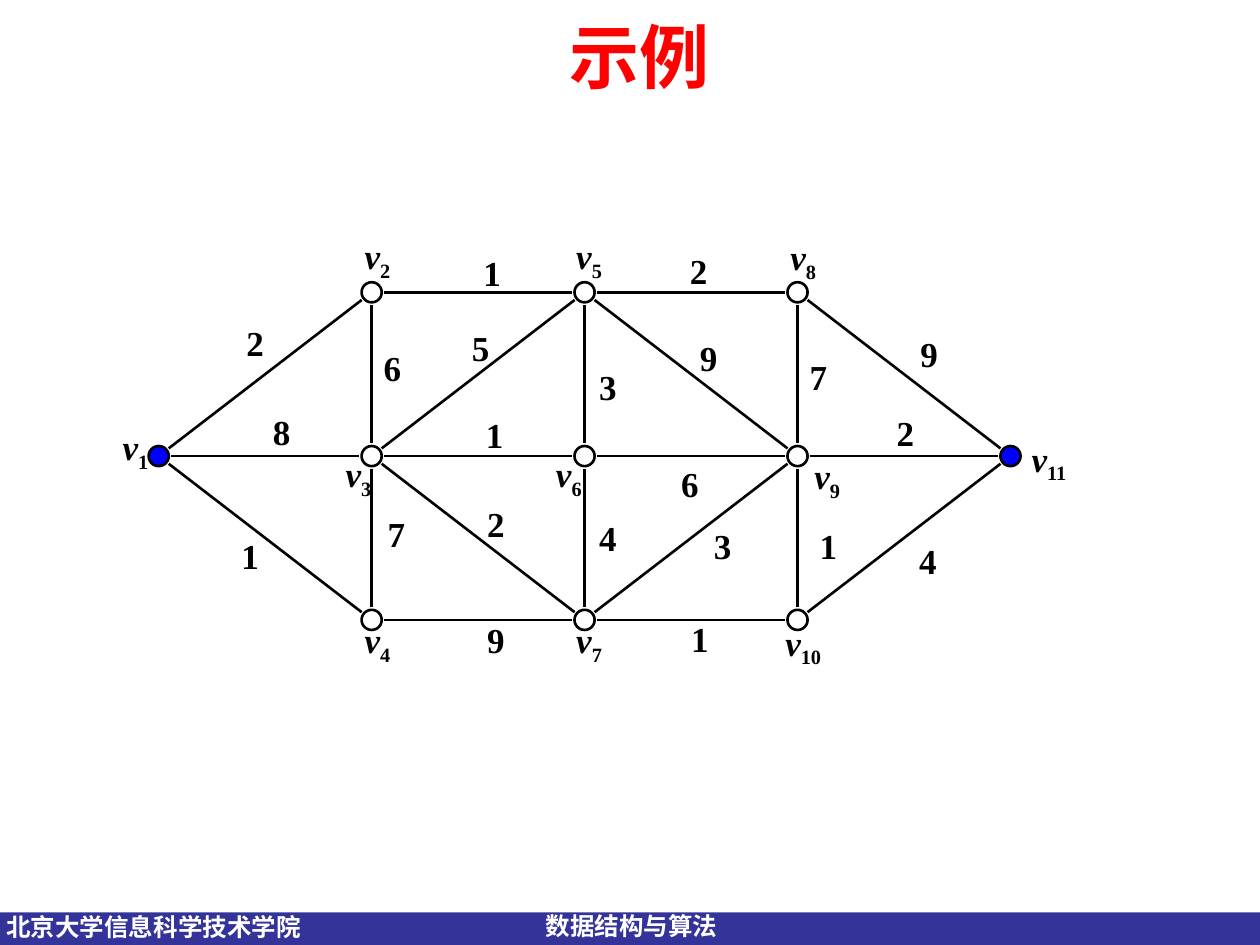
from math import hypot
from typing import NamedTuple

from lxml.etree import SubElement
from pptx import Presentation
from pptx.dml.color import RGBColor
from pptx.enum.shapes import MSO_CONNECTOR, MSO_SHAPE
from pptx.enum.text import MSO_ANCHOR, PP_ALIGN
from pptx.oxml.ns import qn
from pptx.util import Inches, Pt

BLACK, WHITE, RED = "000000", "FFFFFF", "FF0000"
BLUE, NAVY = "0000FF", "333399"
HAN = "Noto Sans CJK SC"
SIZE = 0.16  # node diameter
GAP = 0.1  # from node centre to line end
X0, DX = 1.26, 1.69
Y0, DY = 2.32, 1.3

MATH = {"name": "Times New Roman", "size": Pt(20), "bold": True}
FOOT = {"name": "Arial", "size": Pt(14), "bold": True}
HEAD = {"name": HAN, "size": Pt(40), "bold": True}


class Node(NamedTuple):
    col: int
    row: int
    left: float  # label box
    top: float
    fill: str = ""

    @property
    def x(self) -> float:
        return X0 + self.col * DX

    @property
    def y(self) -> float:
        return Y0 + self.row * DY


class Edge(NamedTuple):
    a: int
    b: int
    cost: int
    left: float  # label box
    top: float


class Foot(NamedTuple):
    text: str
    left: float
    top: float
    width: float


NODES = {
    1: Node(0, 1, 0.82, 3.33, BLUE),
    2: Node(1, 0, 2.74, 1.81),
    3: Node(1, 1, 2.59, 3.54),
    4: Node(1, 2, 2.74, 4.86),
    5: Node(2, 0, 4.42, 1.81),
    6: Node(2, 1, 4.26, 3.54),
    7: Node(2, 2, 4.42, 4.86),
    8: Node(3, 0, 6.12, 1.82),
    9: Node(3, 1, 6.31, 3.56),
    10: Node(3, 2, 6.12, 4.88),
    11: Node(4, 1, 8.07, 3.42, BLUE),
}
EDGES = [
    Edge(1, 2, 2, 1.77, 2.5),
    Edge(1, 3, 8, 1.98, 3.21),
    Edge(1, 4, 1, 1.73, 4.19),
    Edge(3, 4, 7, 2.89, 4.02),
    Edge(2, 3, 6, 2.86, 2.7),
    Edge(2, 5, 1, 3.65, 1.95),
    Edge(3, 5, 5, 3.56, 2.54),
    Edge(3, 6, 1, 3.67, 3.23),
    Edge(3, 7, 2, 3.68, 3.94),
    Edge(4, 7, 9, 3.68, 4.86),
    Edge(5, 6, 3, 4.57, 2.85),
    Edge(6, 7, 4, 4.57, 4.05),
    Edge(7, 10, 1, 5.3, 4.85),
    Edge(7, 9, 3, 5.48, 4.11),
    Edge(6, 9, 6, 5.22, 3.62),
    Edge(5, 9, 9, 5.37, 2.62),
    Edge(5, 8, 2, 5.29, 1.93),
    Edge(8, 9, 7, 6.24, 2.77),
    Edge(9, 11, 2, 6.93, 3.22),
    Edge(9, 10, 1, 6.32, 4.11),
    Edge(10, 11, 4, 7.11, 4.23),
    Edge(8, 11, 9, 7.12, 2.59),
]
FEET = [
    Foot("北京大学信息科学技术学院", 0.05, 7.19, 2.44),
    Foot("数据结构与算法", 4.33, 7.18, 1.46),
]


def paint(target, color: str) -> None:
    target.rgb = RGBColor.from_string(color)


def add_run(para, text: str, look: dict, color: str):
    run = para.add_run()
    run.text = text
    for key, value in look.items():
        setattr(run.font, key, value)
    paint(run.font.color, color)
    return run


def set_han(run) -> None:
    """Choose the typeface for Chinese letters."""
    SubElement(run.font._element, qn("a:ea"), typeface=HAN)


def add_box(slide, left: float, top: float, width: float, height: float,
            wrap: bool, edges: dict):
    box = slide.shapes.add_textbox(
        Inches(left), Inches(top), Inches(width), Inches(height))
    frame = box.text_frame
    frame.word_wrap = wrap
    for side, value in edges.items():
        setattr(frame, f"margin_{side}", Inches(value))
    return frame.paragraphs[0]


def add_label(slide, left: float, top: float, text: str, sub: str = "") -> None:
    """Write an edge cost, or a node name when there is a subscript."""
    para = add_box(slide, left, top, 0.51, 0.48 if sub else 0.44, True, {})
    para.alignment = PP_ALIGN.CENTER
    add_run(para, text, MATH | {"italic": bool(sub)}, BLACK)
    if sub:
        low = add_run(para, sub, MATH, BLACK)
        low.font._element.set("baseline", "-25000")


def draw_node(slide, node: Node) -> None:
    dot = slide.shapes.add_shape(
        MSO_SHAPE.OVAL, Inches(node.x - SIZE / 2), Inches(node.y - SIZE / 2),
        Inches(SIZE), Inches(SIZE))
    dot.shadow.inherit = False
    if node.fill:
        dot.fill.solid()
        paint(dot.fill.fore_color, node.fill)
    else:
        dot.fill.background()
    paint(dot.line.color, BLACK)
    dot.line.width = Pt(1.5)


def draw_edge(slide, edge: Edge) -> None:
    a, b = NODES[edge.a], NODES[edge.b]
    dx, dy = b.x - a.x, b.y - a.y
    part = GAP / hypot(dx, dy)
    ends = (a.x + dx * part, a.y + dy * part, b.x - dx * part, b.y - dy * part)
    line = slide.shapes.add_connector(
        MSO_CONNECTOR.STRAIGHT, *(Inches(end) for end in ends))
    paint(line.line.color, BLACK)
    line.line.width = Pt(1.5)
    SubElement(line._element.spPr, qn("a:effectLst"))


def draw_foot(slide) -> None:
    bar = slide.shapes.add_shape(
        MSO_SHAPE.RECTANGLE, 0, Inches(7.24), Inches(10), Inches(0.28))
    bar.shadow.inherit = False
    bar.fill.solid()
    paint(bar.fill.fore_color, NAVY)
    bar.line.fill.background()
    for foot in FEET:
        para = add_box(slide, foot.left, foot.top, foot.width, 0.34,
                       False, {"left": 0, "right": 0})
        para.alignment = PP_ALIGN.LEFT
        set_han(add_run(para, foot.text, FOOT, WHITE))


def draw_title(slide) -> None:
    title = slide.shapes.title
    place = {"left": 1.3, "top": 0.07, "width": 7.55, "height": 0.74}
    for key, value in place.items():
        setattr(title, key, Inches(value))
    title.text_frame.vertical_anchor = MSO_ANCHOR.MIDDLE
    para = title.text_frame.paragraphs[0]
    para.alignment = PP_ALIGN.CENTER
    set_han(add_run(para, "示例", HEAD, RED))


def main() -> None:
    deck = Presentation()
    deck.slide_width, deck.slide_height = Inches(10), Inches(7.5)
    slide = deck.slides.add_slide(deck.slide_layouts[5])
    draw_title(slide)
    draw_foot(slide)
    for node in NODES.values():
        draw_node(slide, node)
    for edge in EDGES:
        draw_edge(slide, edge)
    for index, node in NODES.items():
        add_label(slide, node.left, node.top, "v", str(index))
    for edge in EDGES:
        add_label(slide, edge.left, edge.top, str(edge.cost))
    deck.save("out.pptx")


if __name__ == "__main__":
    main()
